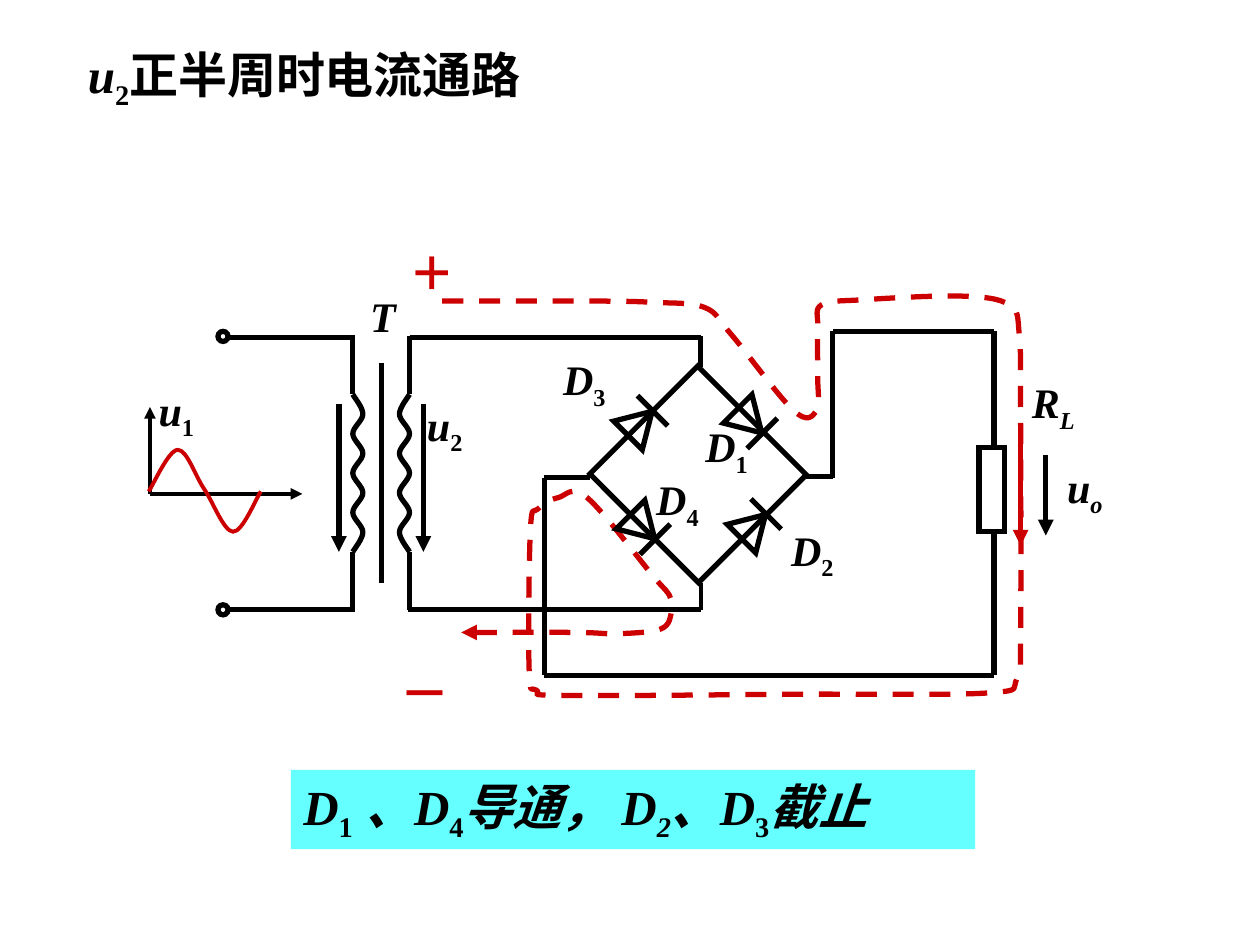
from dataclasses import dataclass

from lxml import etree
from pptx import Presentation
from pptx.dml.color import RGBColor
from pptx.enum.dml import MSO_LINE
from pptx.enum.shapes import MSO_CONNECTOR, MSO_SHAPE
from pptx.enum.text import MSO_ANCHOR, MSO_AUTO_SIZE, PP_ALIGN
from pptx.oxml.ns import qn
from pptx.util import Inches, Pt

DASH = MSO_LINE.DASH
LINE = MSO_CONNECTOR.STRAIGHT
RECT, OVAL = MSO_SHAPE.RECTANGLE, MSO_SHAPE.OVAL
WEDGE = MSO_SHAPE.ISOSCELES_TRIANGLE
TOP, MIDDLE = MSO_ANCHOR.TOP, MSO_ANCHOR.MIDDLE
LEFT, CENTER = PP_ALIGN.LEFT, PP_ALIGN.CENTER
GROW = MSO_AUTO_SIZE.SHAPE_TO_FIT_TEXT


@dataclass(frozen=True)
class Theme:
    ink: RGBColor = RGBColor(0, 0, 0)
    red: RGBColor = RGBColor(0xCC, 0, 0)
    cyan: RGBColor = RGBColor(0x66, 0xFF, 0xFF)
    latin: str = "Times New Roman"
    asian: str = "Noto Sans CJK SC"
    label: int = 24
    head: int = 28
    sign: int = 40
    wire: float = 3
    thin: float = 2.25


THEME = Theme()

FLOW = [
    (3.51, 2.39), (4.19, 2.39), (4.76, 2.39), (5.18, 2.4), (5.59, 2.44),
    (5.8, 2.65), (6.3, 3.26), (6.48, 3.26), (6.49, 2.99), (6.49, 2.6),
    (6.52, 2.42), (6.84, 2.38), (7.62, 2.35), (8.01, 2.42), (8.09, 2.66),
    (8.1, 3.32), (8.1, 5.03), (8.07, 5.39), (7.84, 5.5), (6.35, 5.51),
    (4.49, 5.52), (4.26, 5.48), (4.2, 5.32), (4.21, 4.2), (4.27, 4.04),
    (4.43, 3.95), (4.66, 3.95), (5.19, 4.58), (5.31, 4.72), (5.33, 4.85),
    (5.25, 4.99), (4.91, 5.03), (4.58, 5.02), (3.66, 5.02),
]
WAVE = [(1.18, 3.9), (1.41, 3.57), (1.62, 3.88), (1.85, 4.22), (2.07, 3.9)]

WIRES = [
    (1.82, 2.68, 2.82, 2.68), (1.82, 4.84, 2.82, 4.84),
    (3.03, 2.88, 3.03, 4.63),
    (3.25, 2.68, 5.56, 2.68), (3.24, 4.84, 5.56, 4.84),
    (5.56, 2.67, 5.56, 2.91),
    (6.39, 3.78, 6.61, 3.78), (6.61, 2.63, 6.61, 3.79),
    (6.61, 2.63, 7.89, 2.63), (7.89, 3.53, 7.89, 2.63),
    (7.89, 4.22, 7.89, 5.36), (4.32, 5.36, 7.89, 5.36),
    (4.32, 3.79, 4.32, 5.36), (4.68, 3.79, 4.32, 3.79),
]
ARROWS = [(2.69, 3.21, 2.69, 4.38), (3.36, 3.21, 3.36, 4.38),
          (8.3, 3.61, 8.3, 4.25)]
AXES = [(1.19, 3.92, 1.19, 3.23), (1.19, 3.92, 2.4, 3.92)]
DIODES = [(5.08, 3.36, -1), (5.98, 4.18, -1), (5.95, 3.34, 1), (5.1, 4.18, 1)]
LABELS = [
    ("u", "1", 1.16, 3, 0.61), ("u", "2", 3.29, 3.12, 0.61),
    ("D", "3", 4.37, 2.76, 0.61), ("D", "2", 6.18, 4.11, 0.61),
    ("D", "1", 5.5, 3.29, 0.61), ("D", "4", 5.11, 3.71, 0.61),
    ("R", "L", 8.09, 2.94, 1.11), ("u", "o", 8.37, 3.61, 0.81),
    ("T", "", 2.84, 2.26, 0.4),
]
TITLE = [("u", "i"), ("2", "s"), ("正半周时电流通路", "")]
CLAIM = [("D", "i"), ("1", "s"), (" 、D", "i"), ("4", "s"), ("导通， D", "i"),
         ("2", "is"), ("、D", "i"), ("3", "s"), ("截止", "i")]


def stroke(shape, color, width, dash=None, arrow=False, sharp=False):
    line = shape.line
    line.color.rgb = color
    line.width = Pt(width)
    if dash:
        line.dash_style = dash
    tag = line._get_or_add_ln()
    if sharp:
        etree.SubElement(tag, qn("a:miter"), lim="800000")
    if arrow:
        etree.SubElement(tag, qn("a:tailEnd"), type="triangle")


def wire(slide, ends, color=THEME.ink, width=THEME.wire, arrow=False):
    link = slide.shapes.add_connector(LINE, *map(Inches, ends))
    stroke(link, color, width, arrow=arrow)
    etree.SubElement(link._element.spPr, qn("a:effectLst"))


def block(slide, kind, box, turn=0):
    shape = slide.shapes.add_shape(kind, *map(Inches, box))
    shape.shadow.inherit = False
    shape.fill.background()
    shape.rotation = turn
    stroke(shape, THEME.ink, THEME.wire, sharp=True)
    return shape


def bend(shape, knots):
    pad = [knots[0], *knots, knots[-1]]
    spans = zip(pad, pad[1:], pad[2:], pad[3:])
    lines = list(shape._element.iter(qn("a:lnTo")))
    for line, (a, b, c, d) in zip(lines, spans):
        line.tag = qn("a:cubicBezTo")
        first = [q + (r - p) / 6 for p, q, r in zip(a, b, c)]
        second = [r - (s - q) / 6 for q, r, s in zip(b, c, d)]
        for place, (x, y) in enumerate((first, second)):
            dot = etree.Element(qn("a:pt"), x=str(Inches(x) - shape.left),
                                y=str(Inches(y) - shape.top))
            line.insert(place, dot)


def curve(slide, knots, color, width, dash=None, arrow=False):
    pen = slide.shapes.build_freeform(*map(Inches, knots[0]))
    pen.add_line_segments([tuple(map(Inches, dot)) for dot in knots[1:]], close=False)
    shape = pen.convert_to_shape()
    bend(shape, knots)
    shape.shadow.inherit = False
    shape.fill.background()
    stroke(shape, color, width, dash, arrow)


def write(shape, runs, size, color=THEME.ink, align=LEFT, anchor=TOP, wrap=False):
    frame = shape.text_frame
    frame.word_wrap = wrap
    frame.auto_size = GROW
    frame.vertical_anchor = anchor
    para = frame.paragraphs[0]
    para.alignment = align
    for words, style in runs:
        run = para.add_run()
        run.text = words
        font = run.font
        font.name, font.size, font.bold = THEME.latin, Pt(size), True
        font.italic = "i" in style
        font.color.rgb = color
        props = run._r.get_or_add_rPr()
        etree.SubElement(props, qn("a:ea"), typeface=THEME.asian)
        if "s" in style:
            props.set("baseline", "-25000")


def label(slide, name, index, left, top, width):
    height = 0.56 if index else 0.5
    box = slide.shapes.add_textbox(*map(Inches, (left, top, width, height)))
    runs = [(name, "i")]
    if index:
        runs.append((index, "is" if index.isalpha() else "s"))
    write(box, runs, THEME.label, wrap=bool(index))


def sign(slide, mark, *place):
    box = slide.shapes.add_textbox(*map(Inches, place))
    write(box, [(mark, "")], THEME.sign, THEME.red, CENTER, MIDDLE)


def diode(slide, x, y, way):
    tip, half = 0.1, 0.12
    block(slide, WEDGE, (x - 0.16, y - 0.135, 0.32, 0.27), 90 + 45 * way)
    x, y = x + tip, y + way * tip
    wire(slide, (x - half, y + way * half, x + half, y - way * half))


def coil(slide, x, bulge):
    pitch = 1.25 / 8
    knots = [(x + bulge * (i % 2), 3.13 + i * pitch) for i in range(9)]
    curve(slide, knots, THEME.ink, THEME.wire)
    wire(slide, (x, 2.67, x, 3.13))
    wire(slide, (x, 4.38, x, 4.84))


def main():
    deck = Presentation()
    deck.slide_width, deck.slide_height = Inches(10), Inches(7.5)
    slide = deck.slides.add_slide(deck.slide_layouts[5])

    sign(slide, "+", 3.17, 1.75, 0.51, 0.77)
    sign(slide, "–", 3.13, 5.02, 0.48, 0.77)
    curve(slide, FLOW, THEME.red, THEME.wire, DASH, True)
    wire(slide, (8.1, 3.48, 8.1, 4.33), THEME.red, arrow=True)

    for ends in WIRES:
        wire(slide, ends)
    for ends in ARROWS:
        wire(slide, ends, arrow=True)
    for ends in AXES:
        wire(slide, ends, width=THEME.thin, arrow=True)
    wire(slide, (5.56, 4.84, 5.56, 4.63), width=THEME.thin)
    curve(slide, WAVE, THEME.red, THEME.thin)

    for top in (2.63, 4.8):
        block(slide, OVAL, (1.73, top, 0.08, 0.08))
    coil(slide, 2.8, 0.08)
    coil(slide, 3.25, -0.08)
    block(slide, RECT, (7.77, 3.55, 0.2, 0.67))
    block(slide, RECT, (4.93, 3.16, 1.22, 1.21), 45)
    for spot in DIODES:
        diode(slide, *spot)
    for item in LABELS:
        label(slide, *item)

    title = slide.shapes.title
    title.left, title.top, title.width, title.height = map(Inches, (0.55, 0.3, 3.73, 0.63))
    write(title, TITLE, THEME.head, align=CENTER, anchor=MIDDLE)

    claim = block(slide, RECT, (2.31, 6.11, 5.43, 0.63))
    claim.fill.solid()
    claim.fill.fore_color.rgb = THEME.cyan
    claim.line.fill.background()
    write(claim, CLAIM, THEME.head)
    deck.save("out.pptx")


if __name__ == "__main__":
    main()
